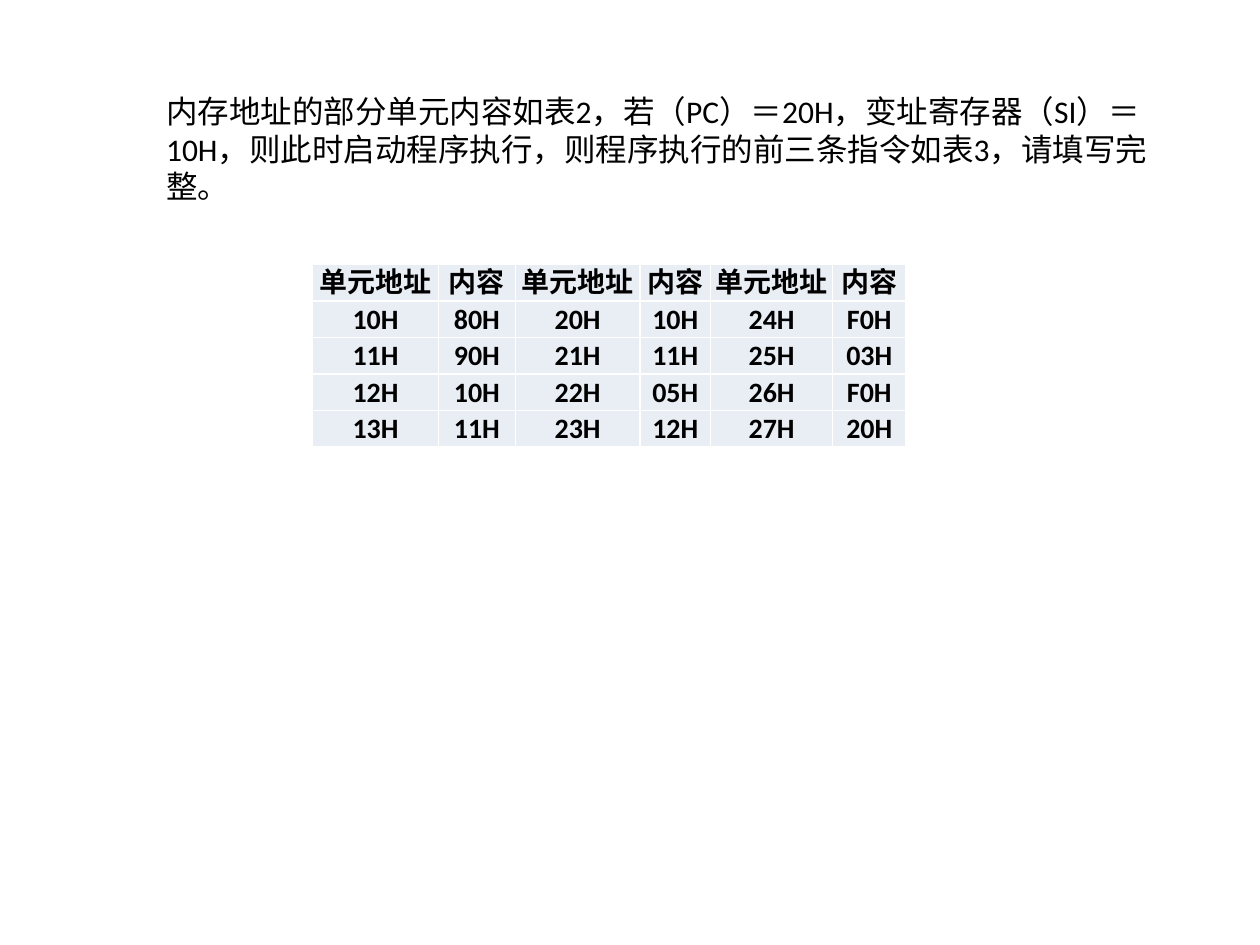
import pptx
import pptx.util
import pptx.dml.color
import pptx.enum.text
from pptx.oxml import parse_xml
from pptx.oxml.ns import nsdecls

Inches, Pt = pptx.util.Inches, pptx.util.Pt

# Content
TASK = ("内存地址的部分单元内容如表2，若（PC）＝20H，变址寄存器（SI）＝10H，"
        "则此时启动程序执行，则程序执行的前三条指令如表3，请填写完整。")
ROWS = [
    ["单元地址", "内容"] * 3,
    ["10H", "80H", "20H", "10H", "24H", "F0H"],
    ["11H", "90H", "21H", "11H", "25H", "03H"],
    ["12H", "10H", "22H", "05H", "26H", "F0H"],
    ["13H", "11H", "23H", "12H", "27H", "20H"],
]
WIDTHS = [1, 0.61, 0.99, 0.56, 0.97, 0.58]
HIGH = 0.29
INK, PALE, WHITE = "000000", "E9EDF4", "FFFFFF"


def paint(color, code):
    color.rgb = pptx.dml.color.RGBColor.from_string(code)


def style(para, size, bold=False):
    for run in para.runs:
        run.font.name = "Calibri"
        run.font.size = Pt(size)
        run.font.bold = bold
        paint(run.font.color, INK)


def border(cell, code):
    props = cell._tc.get_or_add_tcPr()
    for spot, side in enumerate(("lnL", "lnR", "lnT", "lnB")):
        props.insert(spot, parse_xml(
            f'<a:{side} {nsdecls("a")} w="12700"><a:solidFill>'
            f'<a:srgbClr val="{code}"/></a:solidFill></a:{side}>'))


def fill_cell(cell, text):
    cell.text_frame.text = text
    cell.margin_left = cell.margin_right = 0
    cell.margin_top = cell.margin_bottom = 0
    cell.vertical_anchor = pptx.enum.text.MSO_ANCHOR.MIDDLE
    para = cell.text_frame.paragraphs[0]
    para.alignment = pptx.enum.text.PP_ALIGN.CENTER
    para.line_spacing = Pt(20)
    style(para, 16, True)
    cell.fill.solid()
    paint(cell.fill.fore_color, PALE)
    border(cell, WHITE)


deck = pptx.Presentation()
deck.slide_width, deck.slide_height = Inches(10), Inches(7.5)
slide = deck.slides.add_slide(deck.slide_layouts[6])

# Task text
box = slide.shapes.add_textbox(Inches(1.22), Inches(0.68), Inches(8.03), Inches(1.01))
frame = box.text_frame
frame.word_wrap = True
frame.auto_size = pptx.enum.text.MSO_AUTO_SIZE.SHAPE_TO_FIT_TEXT
frame.text = TASK
style(frame.paragraphs[0], 18)

# Memory table
table = slide.shapes.add_table(
    len(ROWS), len(WIDTHS), Inches(2.48), Inches(2.1),
    Inches(sum(WIDTHS)), Inches(HIGH * len(ROWS))).table
for col, wide in zip(table.columns, WIDTHS):
    col.width = Inches(wide)
for r, row in enumerate(ROWS):
    table.rows[r].height = Inches(HIGH)
    for c, text in enumerate(row):
        fill_cell(table.cell(r, c), text)

deck.save("out.pptx")
